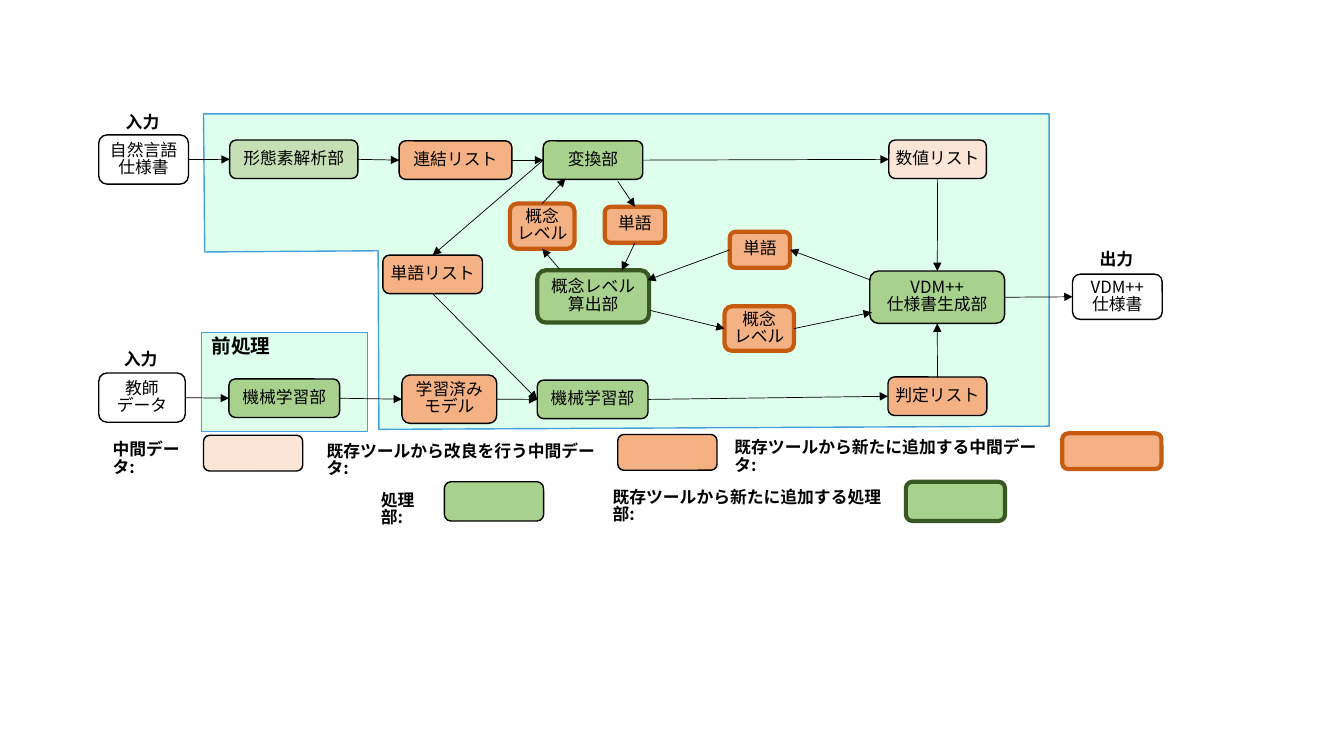
import pptx
import pptx.dml.color
import pptx.enum.shapes
import pptx.enum.text
import pptx.oxml.ns
import pptx.util
from lxml import etree

Cm = pptx.util.Cm
Pt = pptx.util.Pt
FONT = "Noto Sans CJK JP"
TOP, LEFT, BOTTOM, RIGHT = range(4)
AREA_FILL, AREA_LINE = "DDFFEB", "47A1D9"

STYLES = {
    "document": (None, "000000", 1, 0.1),
    "data": ("FBE5D6", "000000", 1, 0.1),
    "improved data": ("F4B183", "000000", 1, 0.1),
    "added data": ("F4B183", "C55A11", 3, 0.1),
    "analysis": ("C5E0B4", "000000", 1, 0.25),
    "process": ("A9D18E", "000000", 1, 0.25),
    "added process": ("A9D18E", "385723", 3, 0.25),
}

AREA_OUTLINE = [(5.13, 2.87), (26.44, 2.87), (26.44, 10.74),
                (9.55, 10.82), (9.53, 6.32), (5.16, 6.35)]

NODES = {
    "specification": ("document", 2.49, 3.4, 2.26, 1.24, ["自然言語", "仕様書"]),
    "morphology": ("analysis", 5.79, 3.53, 3.23, 0.97, ["形態素解析部"]),
    "linked list": ("improved data", 10.06, 3.55, 2.84, 0.97, ["連結リスト"]),
    "conversion": ("process", 13.69, 3.55, 2.51, 0.97, ["変換部"]),
    "number list": ("data", 22.4, 3.53, 2.46, 0.97, ["数値リスト"]),
    "word list": ("improved data", 9.65, 6.43, 2.51, 0.97, ["単語リスト"]),
    "left level": ("added data", 12.85, 5.13, 1.63, 1.14, ["概念", "レベル"]),
    "left word": ("added data", 15.24, 5.21, 1.52, 0.91, ["単語"]),
    "level calculation": ("added process", 13.54, 6.81, 2.82, 1.32, ["概念レベル算出部"]),
    "right word": ("added data", 18.39, 5.84, 1.52, 0.91, ["単語"]),
    "right level": ("added data", 18.26, 7.72, 1.75, 1.12, ["概念", "レベル"]),
    "generation": ("process", 21.92, 6.83, 3.4, 1.32, ["VDM++", "仕様書生成部"]),
    "output": ("document", 27.03, 6.91, 2.26, 1.14, ["VDM++", "仕様書"]),
    "teacher data": ("document", 2.49, 9.4, 2.18, 1.24, ["教師", "データ"]),
    "training": ("process", 5.77, 9.55, 2.79, 0.97, ["機械学習部"]),
    "model": ("improved data", 10.13, 9.45, 2.39, 1.22, ["学習済み", "モデル"]),
    "learning": ("process", 13.54, 9.58, 2.79, 0.97, ["機械学習部"]),
    "judgement list": ("improved data", 22.38, 9.5, 2.49, 0.97, ["判定リスト"]),
}

ARROWS = [
    (("specification", RIGHT), ("morphology", LEFT)),
    (("morphology", RIGHT), ("linked list", LEFT)),
    (("linked list", RIGHT), ("conversion", LEFT)),
    (("conversion", LEFT), ("word list", TOP)),
    (("conversion", RIGHT), ("number list", LEFT)),
    (("word list", BOTTOM), ("learning", LEFT)),
    (("number list", BOTTOM), ("generation", TOP)),
    (("judgement list", TOP), ("generation", BOTTOM)),
    (("generation", RIGHT), ("output", LEFT)),
    (("teacher data", RIGHT), ("training", LEFT)),
    (("training", RIGHT), ("model", LEFT)),
    (("model", RIGHT), ("learning", LEFT)),
    (("learning", RIGHT), ("judgement list", LEFT)),
    ((15.57, 4.57), ("left word", TOP)),
    (("left word", BOTTOM), (15.67, 6.81)),
    ((14.1, 6.78), ("left level", BOTTOM)),
    (("left level", TOP), (14.25, 4.5)),
    ((21.95, 7.06), ("right word", RIGHT)),
    (("right word", LEFT), (16.31, 7.06)),
    ((16.38, 7.82), ("right level", LEFT)),
    (("right level", RIGHT), (21.97, 7.87)),
]

CAPTIONS = [("入力", 2.92, 2.77), ("入力", 2.87, 8.74), ("出力", 27.46, 6.22)]

LEGEND = [
    ("中間データ:", 2.59, 11.02, 2.77, "data", 5.13, 10.97, 0.9),
    ("既存ツールから改良を行う中間データ:", 7.98, 11.05, 7.9, "improved data", 15.57, 10.95, 0.9),
    ("既存ツールから新たに追加する中間データ:", 18.26, 10.97, 8.76, "added data", 26.77, 10.92, 0.9),
    ("処理部:", 9.35, 12.29, 1.93, "process", 11.2, 12.14, 0.99),
    ("既存ツールから新たに追加する処理部:", 15.19, 12.22, 7.9, "added process", 22.83, 12.14, 0.99),
]


def color(value):
    return pptx.dml.color.RGBColor.from_string(value)


def paint(shape, fill, line, width):
    shape.shadow.inherit = False
    if fill:
        shape.fill.solid()
        shape.fill.fore_color.rgb = color(fill)
    else:
        shape.fill.background()
    shape.line.color.rgb = color(line)
    shape.line.width = Pt(width)


def write(frame, lines, alignment, size=12, bold=False):
    for index, text in enumerate(lines):
        paragraph = frame.add_paragraph() if index else frame.paragraphs[0]
        paragraph.alignment = alignment
        paragraph.line_spacing = 0.85
        run = paragraph.add_run()
        run.text = text
        run.font.name = FONT
        run.font.size = Pt(size)
        run.font.bold = bold
        run.font.color.rgb = color("000000")
        east_asian = etree.SubElement(run.font._element, pptx.oxml.ns.qn("a:ea"))
        east_asian.set("typeface", FONT)


def add_area(slide):
    start, *corners = [(Cm(x), Cm(y)) for x, y in AREA_OUTLINE]
    builder = slide.shapes.build_freeform(*start)
    builder.add_line_segments(corners, close=True)
    paint(builder.convert_to_shape(), AREA_FILL, AREA_LINE, 1)


def add_preprocessing(slide):
    shape = slide.shapes.add_shape(pptx.enum.shapes.MSO_SHAPE.RECTANGLE,
                                   Cm(5.08), Cm(8.38), Cm(4.19), Cm(2.49))
    paint(shape, AREA_FILL, AREA_LINE, 1)
    shape.text_frame.vertical_anchor = pptx.enum.text.MSO_ANCHOR.TOP
    write(shape.text_frame, ["前処理"], pptx.enum.text.PP_ALIGN.LEFT, 14, True)


def add_box(slide, style, left, top, width, height, lines=()):
    fill, line, line_width, inset = STYLES[style]
    shape = slide.shapes.add_shape(pptx.enum.shapes.MSO_SHAPE.ROUNDED_RECTANGLE,
                                   Cm(left), Cm(top), Cm(width), Cm(height))
    paint(shape, fill, line, line_width)
    frame = shape.text_frame
    frame.word_wrap = True
    frame.vertical_anchor = pptx.enum.text.MSO_ANCHOR.MIDDLE
    frame.margin_left = frame.margin_right = Cm(inset)
    frame.margin_top = frame.margin_bottom = Cm(0.1)
    write(frame, lines, pptx.enum.text.PP_ALIGN.CENTER)
    return shape


def add_label(slide, text, left, top, width, wrap):
    label = slide.shapes.add_textbox(Cm(left), Cm(top), Cm(width), Cm(0.76))
    frame = label.text_frame
    frame.word_wrap = wrap
    if wrap:
        frame.margin_right = Cm(0.65)
    write(frame, [text], pptx.enum.text.PP_ALIGN.LEFT, bold=True)


def add_arrow(slide, boxes, start, end):
    points = [(0, 0) if point[0] in boxes else point for point in (start, end)]
    lengths = [Cm(value) for point in points for value in point]
    connector = slide.shapes.add_connector(
        pptx.enum.shapes.MSO_CONNECTOR.STRAIGHT, *lengths)
    for point, connect in ((start, connector.begin_connect), (end, connector.end_connect)):
        if point[0] in boxes:
            connect(boxes[point[0]], point[1])
    connector.line.color.rgb = color("000000")
    connector.line.width = Pt(0.5)
    line = connector.line._get_or_add_ln()
    etree.SubElement(line, pptx.oxml.ns.qn("a:tailEnd")).set("type", "triangle")
    etree.SubElement(connector._element.spPr, pptx.oxml.ns.qn("a:effectLst"))


def main():
    presentation = pptx.Presentation()
    presentation.slide_width = Cm(33.87)
    presentation.slide_height = Cm(19.05)
    slide = presentation.slides.add_slide(presentation.slide_layouts[6])
    add_area(slide)
    add_preprocessing(slide)
    boxes = {name: add_box(slide, *node) for name, node in NODES.items()}
    for start, end in ARROWS:
        add_arrow(slide, boxes, start, end)
    for text, left, top in CAPTIONS:
        add_label(slide, text, left, top, 1.37, False)
    for text, left, top, width, style, box_left, box_top, box_height in LEGEND:
        add_label(slide, text, left, top, width, True)
        add_box(slide, style, box_left, box_top, 2.5, box_height)
    presentation.save("out.pptx")


if __name__ == "__main__":
    main()
